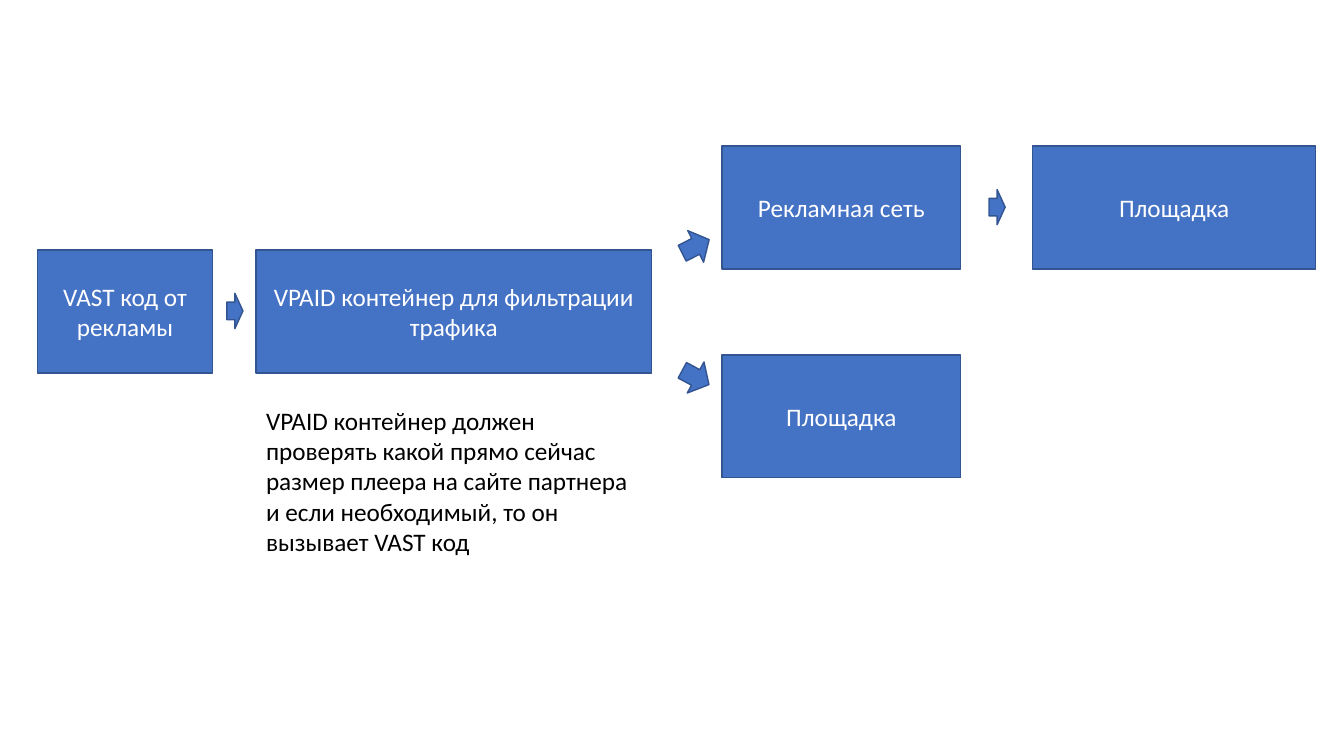
"""Build a slide showing how a VPAID container routes ad traffic to sites."""
from pptx import Presentation
from pptx.dml.color import RGBColor
from pptx.enum.shapes import MSO_SHAPE
from pptx.enum.text import MSO_ANCHOR, PP_ALIGN
from pptx.util import Inches, Pt

BLUE, OUTLINE, WHITE, BLACK = "4472C4", "325491", "FFFFFF", "000000"
BOX_HEIGHT, ARROW_HEIGHT = 1.22, 0.35
START_TOP, NETWORK_TOP, DIRECT_TOP = 2.48, 1.45, 3.52
CONTAINER_LEFT, CONTAINER_WIDTH = 2.54, 3.92
BRANCH_LEFT, BRANCH_WIDTH = 7.16, 2.37


def add_block(kind, left, top, width, height):
    shape = slide.shapes.add_shape(
        kind, Inches(left), Inches(top), Inches(width), Inches(height))
    shape.shadow.inherit = False
    shape.fill.solid()
    shape.fill.fore_color.rgb = RGBColor.from_string(BLUE)
    shape.line.color.rgb = RGBColor.from_string(OUTLINE)
    shape.line.width = Pt(1)
    return shape


def write_text(shape, text, color, align, anchor):
    frame = shape.text_frame
    for name, value in {"word_wrap": True, "vertical_anchor": anchor}.items():
        setattr(frame, name, value)
    paragraph = frame.paragraphs[0]
    paragraph.alignment = align
    run = paragraph.add_run()
    run.text = text
    for name, value in {"name": "Calibri", "size": Pt(18)}.items():
        setattr(run.font, name, value)
    run.font.color.rgb = RGBColor.from_string(color)


presentation = Presentation()
presentation.slide_width = Inches(13.33)
presentation.slide_height = Inches(7.5)
slide = presentation.slides.add_slide(presentation.slide_layouts[6])

boxes = [
    ("VAST код от рекламы", 0.37, START_TOP, 1.74),
    ("VPAID контейнер для фильтрации трафика",
     CONTAINER_LEFT, START_TOP, CONTAINER_WIDTH),
    ("Рекламная сеть", BRANCH_LEFT, NETWORK_TOP, BRANCH_WIDTH),
    ("Площадка", 10.24, NETWORK_TOP, 2.81),
    ("Площадка", BRANCH_LEFT, DIRECT_TOP, BRANCH_WIDTH),
]
for text, left, top, width in boxes:
    box = add_block(MSO_SHAPE.RECTANGLE, left, top, width, BOX_HEIGHT)
    write_text(box, text, WHITE, PP_ALIGN.CENTER, MSO_ANCHOR.MIDDLE)

arrows = [
    (2.25, 2.91, 0.16, 0),
    (6.75, 2.27, 0.3, 333.3),
    (6.75, 3.57, 0.3, 28.3),
    (9.81, 1.88, 0.16, 0),
]
for left, top, width, rotation in arrows:
    arrow = add_block(MSO_SHAPE.RIGHT_ARROW, left, top, width, ARROW_HEIGHT)
    arrow.rotation = rotation

note = slide.shapes.add_textbox(
    Inches(CONTAINER_LEFT), Inches(3.97), Inches(CONTAINER_WIDTH), Inches(1.62))
write_text(
    note,
    "VPAID контейнер должен проверять какой прямо сейчас размер плеера "
    "на сайте партнера и если необходимый, то он вызывает VAST код",
    BLACK, PP_ALIGN.LEFT, MSO_ANCHOR.TOP)

presentation.save("out.pptx")
